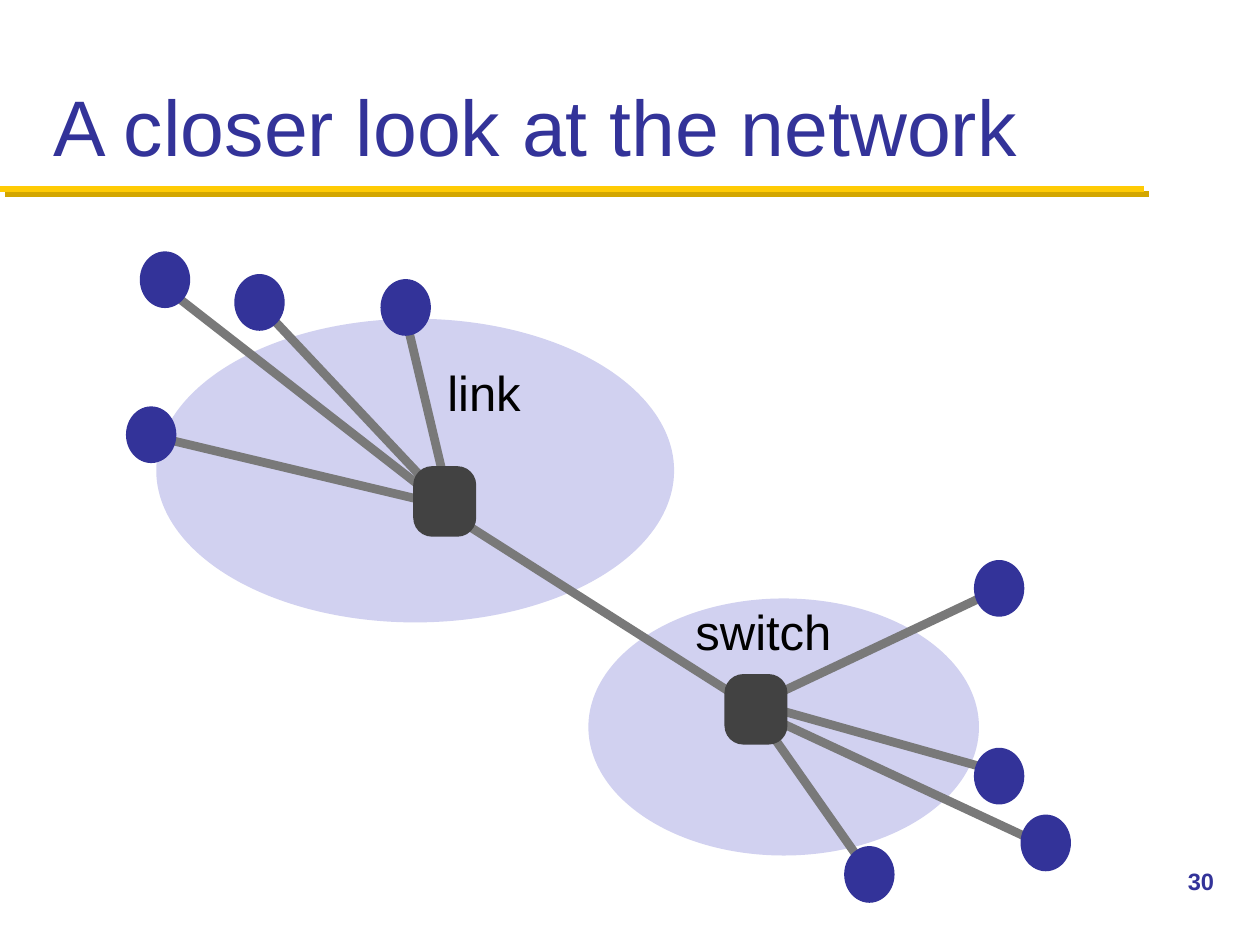
from collections import namedtuple
from dataclasses import dataclass

from lxml import etree
from pptx import Presentation, util as u
from pptx.dml.color import RGBColor
from pptx.enum import shapes, text
from pptx.oxml.ns import qn

COLS, ROWS = 10, 7.5
CELL = u.Inches(1)
Box = namedtuple("Box", "x y w h")
Net = namedtuple("Net", "box hub port label spot wires")


@dataclass(frozen=True)
class Theme:
    """Colours, font and sizes of the slide."""
    font: str = "Arial"
    navy: str = "333399"
    gold: str = "FFCB05"
    shade: str = "D3A600"
    cloud: str = "D1D1F0"
    wire: str = "797979"
    hub: str = "424242"
    ink: str = "000000"
    title: float = 45
    label: float = 28
    page: float = 13.5
    rule: float = 3.5
    link: float = 5


T = Theme()
OVAL = shapes.MSO_SHAPE.OVAL
ROUND = shapes.MSO_SHAPE.ROUNDED_RECTANGLE
HOST, HUB = (0.4, 0.45), (0.5, 0.56)

# Points are measured from the corner of each net's box.
# The port is the trunk's end; a wire is host centre, host end, hub end.
WEST = Net(Box(1.24, 2.53, 4.11, 2.41), (2.29, 1.45), (2.22, 1.48),
           "link", Box(2.25, 0.29, 0.74, 0.58), [
    ((-0.04, 0.92), (-0.03, 0.93), (2.24, 1.47)),
    ((0.07, -0.31), (0.08, -0.24), (2.2, 1.41)),
    ((0.82, -0.13), (0.82, -0.11), (2.24, 1.4)),
    ((1.98, -0.09), (1.98, -0.01), (2.34, 1.51)),
])
EAST = Net(Box(4.67, 4.75, 3.1, 2.04), (1.33, 0.88), (1.34, 0.88),
           "switch", Box(0.79, -0.03, 1.22, 0.58), [
    ((3.26, -0.08), (3.25, -0.07), (1.28, 0.86)),
    ((3.26, 1.41), (3.24, 1.37), (1.35, 0.84)),
    ((3.63, 1.94), (3.64, 1.97), (1.3, 0.88)),
    ((2.23, 2.19), (2.22, 2.17), (1.35, 0.93)),
])


def grid(*cells):
    """Turn grid cells into lengths."""
    return [round(c * CELL) for c in cells]


def shift(box, spot):
    """Move a point from a box's corner to the slide."""
    return box.x + spot[0], box.y + spot[1]


def draw(slide, kind, box, tint):
    """Add a plain filled shape."""
    item = slide.shapes.add_shape(kind, *grid(*box))
    item.shadow.inherit = False
    item.fill.solid()
    item.fill.fore_color.rgb = RGBColor.from_string(tint)
    item.line.fill.background()
    return item


def dot(slide, kind, mid, size, tint):
    """Add a shape centred on a point."""
    x, y = mid
    w, h = size
    return draw(slide, kind, Box(x - w / 2, y - h / 2, w, h), tint)


def line(slide, start, end, tint, width):
    """Add a line and return its empty effect list."""
    item = slide.shapes.add_connector(
        shapes.MSO_CONNECTOR.STRAIGHT, *grid(*start, *end))
    item.line.color.rgb = RGBColor.from_string(tint)
    item.line.width = u.Pt(width)
    return etree.SubElement(item._element.spPr, qn("a:effectLst"))


def write(slide, box, words, size, tint, anchor, bold=False):
    """Add one line of text and return its frame."""
    frame = slide.shapes.add_textbox(*grid(*box)).text_frame
    frame.word_wrap = True
    frame.vertical_anchor = anchor
    para = frame.paragraphs[0]
    para.text = words
    font = para.font
    font.name, font.size, font.bold = T.font, u.Pt(size), bold
    font.color.rgb = RGBColor.from_string(tint)
    return frame


def header(slide, box, words):
    """Place the title and the shadowed rule below it."""
    write(slide, box, words, T.title, T.navy, text.MSO_ANCHOR.BOTTOM)
    y = box.y + box.h + 0.08
    glow = line(slide, (0, y), (9.08, y), T.gold, T.rule)
    cast = etree.SubElement(glow, qn("a:outerShdw"), dist=str(u.Pt(4.2)),
                            dir="2700000", algn="ctr", rotWithShape="0")
    etree.SubElement(cast, qn("a:srgbClr"), val=T.shade)


def tag(slide, box, words):
    """Place a label that grows with its words and never wraps."""
    frame = write(slide, box, words, T.label, T.ink, text.MSO_ANCHOR.MIDDLE)
    frame.word_wrap = False
    frame.auto_size = text.MSO_AUTO_SIZE.SHAPE_TO_FIT_TEXT
    frame.margin_left = frame.margin_right = u.Inches(0.06)
    frame.margin_top = frame.margin_bottom = u.Inches(0.06)


def network(slide, net):
    """Place the wires, hosts, label and hub of one net."""
    box, spot = net.box, net.spot
    for _, start, end in net.wires:
        line(slide, shift(box, start), shift(box, end), T.wire, T.link)
    for host, _, _ in net.wires:
        dot(slide, OVAL, shift(box, host), HOST, T.navy)
    tag(slide, Box(*shift(box, spot), spot.w, spot.h), net.label)
    hub = dot(slide, ROUND, shift(box, net.hub), HUB, T.hub)
    hub.adjustments[0] = 0.3


def diagram(slide, nets):
    """Place the clouds, the trunk between hubs, and each net."""
    for net in nets:
        draw(slide, OVAL, net.box, T.cloud)
    ends = [shift(net.box, net.port) for net in nets]
    line(slide, *ends, T.wire, T.link)
    for net in nets:
        network(slide, net)


def main():
    """Build and save the slide."""
    deck = Presentation()
    deck.slide_width, deck.slide_height = grid(COLS, ROWS)
    slide = deck.slides.add_slide(deck.slide_layouts[6])
    header(slide, Box(0.33, 0.17, 9.33, 1.25), "A closer look at the network")
    diagram(slide, [WEST, EAST])
    write(slide, Box(9.33, 6.83, 0.67, 0.5), "30", T.page, T.navy,
          text.MSO_ANCHOR.TOP, bold=True)
    deck.save("out.pptx")


main()
